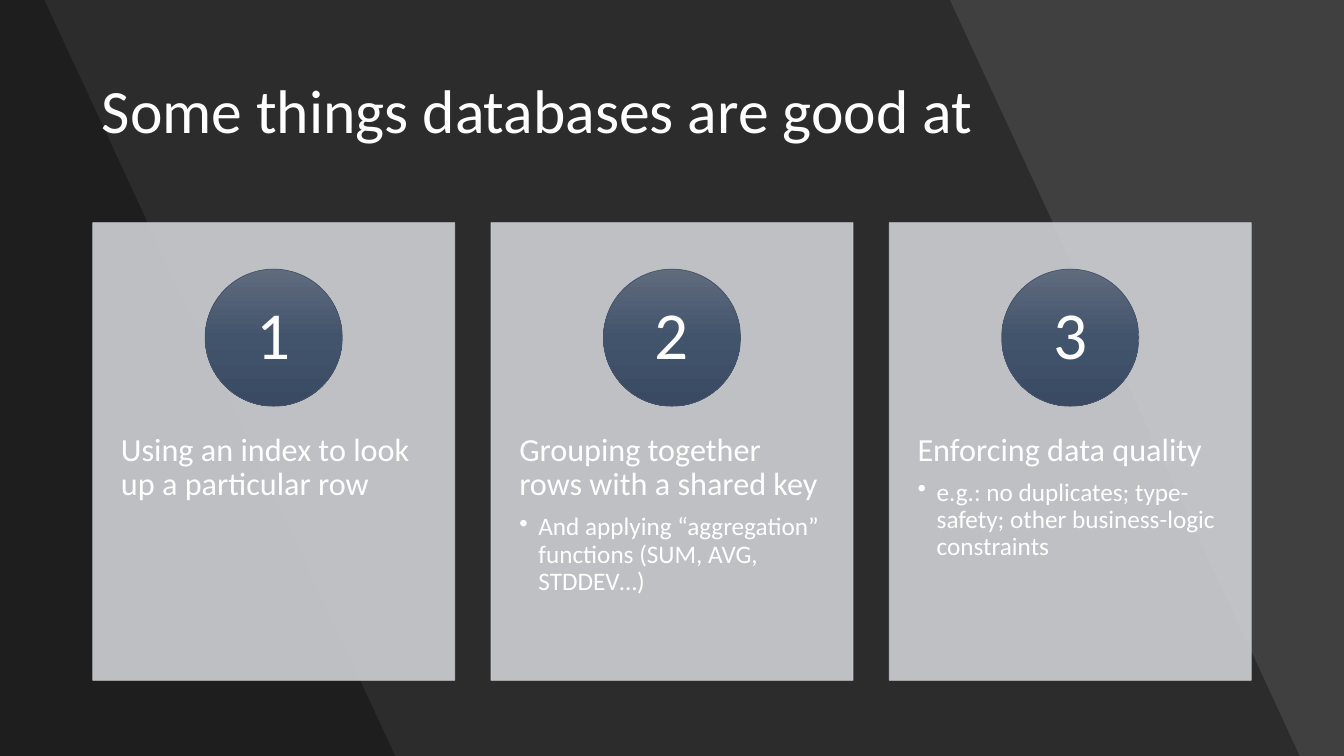
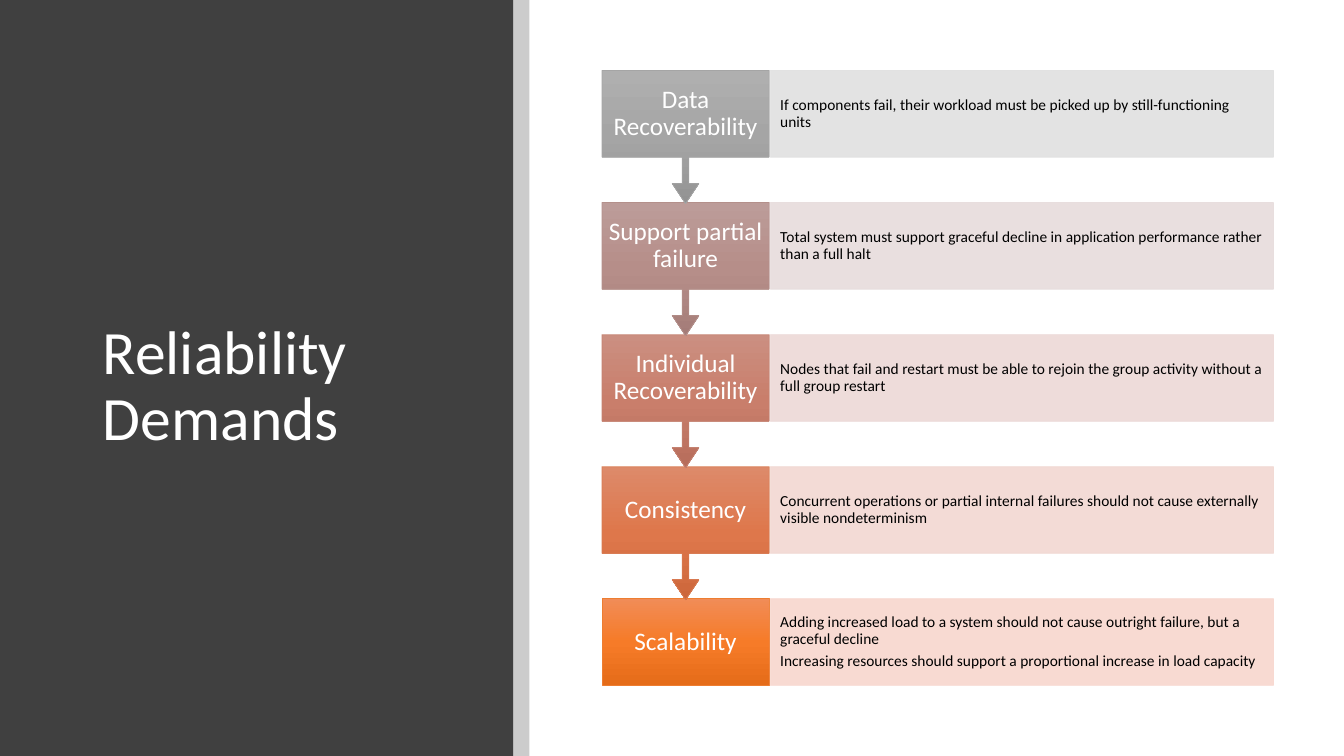
from copy import deepcopy

from lxml.etree import SubElement
from pptx import Presentation
from pptx.dml.color import RGBColor
from pptx.enum.shapes import MSO_SHAPE as SHAPE
from pptx.enum.text import MSO_ANCHOR as ANCHOR, MSO_AUTO_SIZE as AUTO_SIZE, PP_ALIGN as ALIGN
from pptx.oxml.ns import qn
from pptx.util import Inches, Pt

# Shared style
FONT = "Calibri"
SLIDE_W, SLIDE_H = 13.33, 7.5
WHITE = RGBColor(0xFF, 0xFF, 0xFF)
BLACK = RGBColor(0x00, 0x00, 0x00)
CHARCOAL = RGBColor(0x40, 0x40, 0x40)
CARD = RGBColor(0xCF, 0xD1, 0xD4)
BADGE_LINE = RGBColor(0x44, 0x54, 0x6A)
BADGE_GRADIENT = [RGBColor(0x60, 0x6B, 0x7D), RGBColor(0x42, 0x54, 0x6C), RGBColor(0x39, 0x4A, 0x62)]

# Cards: heading, bullets
CARDS = [
    ("Using an index to look up a particular row", []),
    ("Grouping together rows with a shared key",
     ["And applying “aggregation” functions (SUM, AVG, STDDEV…)"]),
    ("Enforcing data quality",
     ["e.g.: no duplicates; type-safety; other business-logic constraints"]),
]

# Demands: name, details, gradient, outline, detail band
DEMANDS = [
    ("Data Recoverability",
     ["If components fail, their workload must be picked up by still-functioning units"],
     ["AFAFAF", "A5A5A5", "939393"], "A5A5A5", "E1E1E1"),
    ("Support partial failure",
     ["Total system must support graceful decline in application performance "
      "rather than a full halt"],
     ["BC9C99", "B68E89", "A47C78"], "B4908B", "E7DCDC"),
    ("Individual Recoverability",
     ["Nodes that fail and restart must be able to rejoin the group activity "
      "without a full group restart"],
     ["CB8F81", "C97E6B", "B76D5B"], "C48170", "EDD9D7"),
    ("Consistency",
     ["Concurrent operations or partial internal failures should not cause "
      "externally visible nondeterminism"],
     ["DD8A6A", "DE774B", "CD673B"], "D87A51", "F2D8D2"),
    ("Scalability",
     ["Adding increased load to a system should not cause outright failure, "
      "but a graceful decline",
      "Increasing resources should support a proportional increase in load capacity"],
     ["F18C57", "F67B28", "E56C19"], "ED7D31", "F8D7CE"),
]


def set_opacity(sp, percent):
    """Apply one opacity to the fill and the outline."""
    for color in sp._element.spPr.iter(qn("a:srgbClr")):
        SubElement(color, qn("a:alpha"), val=str(percent * 1000))


def paint(sp, fill, line=None, opacity=100):
    """Fill with one colour, or with a list of three as a downward gradient."""
    sp.shadow.inherit = False
    if isinstance(fill, list):
        sp.fill.gradient()
        sp.fill.gradient_angle = 270
        first = sp._element.spPr.find(".//" + qn("a:gs"))
        first.addnext(deepcopy(first))
        for stop, color, position in zip(sp.fill.gradient_stops, fill, (0, 0.5, 1)):
            stop.color.rgb = color
            stop.position = position
    else:
        sp.fill.solid()
        sp.fill.fore_color.rgb = fill
    if line is None:
        sp.line.fill.background()
    else:
        sp.line.color.rgb = line
        sp.line.width = Pt(0.5)
    if opacity < 100:
        set_opacity(sp, opacity)


def add_box(s, kind, x, y, w, h, fill, line=None, opacity=100):
    sp = s.shapes.add_shape(kind, Inches(x), Inches(y), Inches(w), Inches(h))
    paint(sp, fill, line, opacity)
    return sp


def add_slant(s, top_x, bottom_x):
    """Dark overlay from the left edge to a slanted right side."""
    builder = s.shapes.build_freeform(0, 0)
    corners = [(top_x, 0), (bottom_x, SLIDE_H), (0, SLIDE_H)]
    builder.add_line_segments([(Inches(x), Inches(y)) for x, y in corners])
    paint(builder.convert_to_shape(), BLACK, opacity=30)


def set_frame(sp, insets, anchor=ANCHOR.MIDDLE):
    tf = sp.text_frame
    tf.word_wrap = True
    tf.auto_size = AUTO_SIZE.NONE
    tf.vertical_anchor = anchor
    tf.margin_left, tf.margin_top, tf.margin_right, tf.margin_bottom = map(Inches, insets)
    return tf


def add_text(tf, text, size, color=WHITE, align=ALIGN.LEFT, bullet=False):
    """Write into the empty first paragraph, or into a new one."""
    p = tf.paragraphs[0] if not tf.paragraphs[0].runs else tf.add_paragraph()
    if bullet:
        pPr = p._p.get_or_add_pPr()
        pPr.set("marL", str(Inches(0.19)))
        pPr.set("indent", str(Inches(-0.19)))
        SubElement(pPr, qn("a:buChar"), char="•")
    p.alignment = align
    p.line_spacing = 0.9
    p.space_before = Pt(0)
    p.space_after = Pt(round(size * (0.15 if bullet else 0.35)))
    r = p.add_run()
    r.text = text
    r.font.name = FONT
    r.font.size = Pt(size)
    r.font.color.rgb = color


def set_title(s, text, x, y, w, h):
    """Place the title above the shapes drawn so far."""
    title = s.shapes.title
    s.shapes._spTree.append(title._element)
    title.left, title.top, title.width, title.height = map(Inches, (x, y, w, h))
    add_text(set_frame(title, (0.1, 0.05, 0.1, 0.05)), text, 44)


def new_slide(prs, background):
    s = prs.slides.add_slide(prs.slide_layouts[5])
    s.background.fill.solid()
    s.background.fill.fore_color.rgb = background
    return s


def add_card(s, number, x, heading, bullets):
    width, badge = 3.59, 1.36
    card = add_box(s, SHAPE.RECTANGLE, x, 2.21, width, 4.54, CARD, CARD, 90)
    tf = set_frame(card, (0.28, 2.09, 0.28, 0.36), ANCHOR.TOP)
    add_text(tf, heading, 23)
    for text in bullets:
        add_text(tf, text, 18, bullet=True)
    circle = add_box(s, SHAPE.OVAL, x + (width - badge) / 2, 2.67, badge, badge,
                     BADGE_GRADIENT, BADGE_LINE)
    add_text(set_frame(circle, (0.11, 0.01, 0.11, 0.01)), str(number), 48, align=ALIGN.CENTER)


def add_demand(s, y, demand, last):
    name, details, gradient, outline, band = demand
    x, width, height = 5.97, 1.66, 0.86
    kind = SHAPE.RECTANGLE if last else SHAPE.DOWN_ARROW_CALLOUT
    box = add_box(s, kind, x, y, width, height if last else 1.32,
                  [RGBColor.from_string(c) for c in gradient], RGBColor.from_string(outline))
    if not last:
        for i, value in enumerate((0.05, 0.1, 0.15, 0.65)):
            box.adjustments[i] = value
    # Narrow side insets keep the longest word on one line
    add_text(set_frame(box, (0.05, 0.1, 0.05, 0.1)), name, 18, align=ALIGN.CENTER)
    color = RGBColor.from_string(band)
    detail = add_box(s, SHAPE.RECTANGLE, 7.64, y, 4.99, height, color, color, 90)
    tf = set_frame(detail, (0.1, 0.1, 0.1, 0.1))
    for text in details:
        add_text(tf, text, 11, BLACK)


def build_strengths(prs):
    s = new_slide(prs, CHARCOAL)
    add_slant(s, 9.42, 12.89)
    add_slant(s, 0.44, 3.92)
    set_title(s, "Some things databases are good at", 0.91, 0.4, 11.51, 1.45)
    for i, (heading, bullets) in enumerate(CARDS):
        add_card(s, i + 1, 0.92 + 3.95 * i, heading, bullets)


def build_reliability(prs):
    s = new_slide(prs, WHITE)
    add_box(s, SHAPE.RECTANGLE, 0, 0, 5.09, SLIDE_H, CHARCOAL)
    add_box(s, SHAPE.RECTANGLE, 5.09, 0, 0.16, SLIDE_H, BLACK, opacity=20)
    set_title(s, "Reliability Demands", 0.92, 0.89, 3.65, 5.91)
    # Bottom row first, so that each arrow tip lies over the next box
    last = len(DEMANDS) - 1
    for i in range(last, -1, -1):
        add_demand(s, 0.7 + 1.31 * i, DEMANDS[i], i == last)


def main():
    prs = Presentation()
    prs.slide_width, prs.slide_height = Inches(SLIDE_W), Inches(SLIDE_H)
    build_strengths(prs)
    build_reliability(prs)
    prs.save("out.pptx")


if __name__ == "__main__":
    main()
